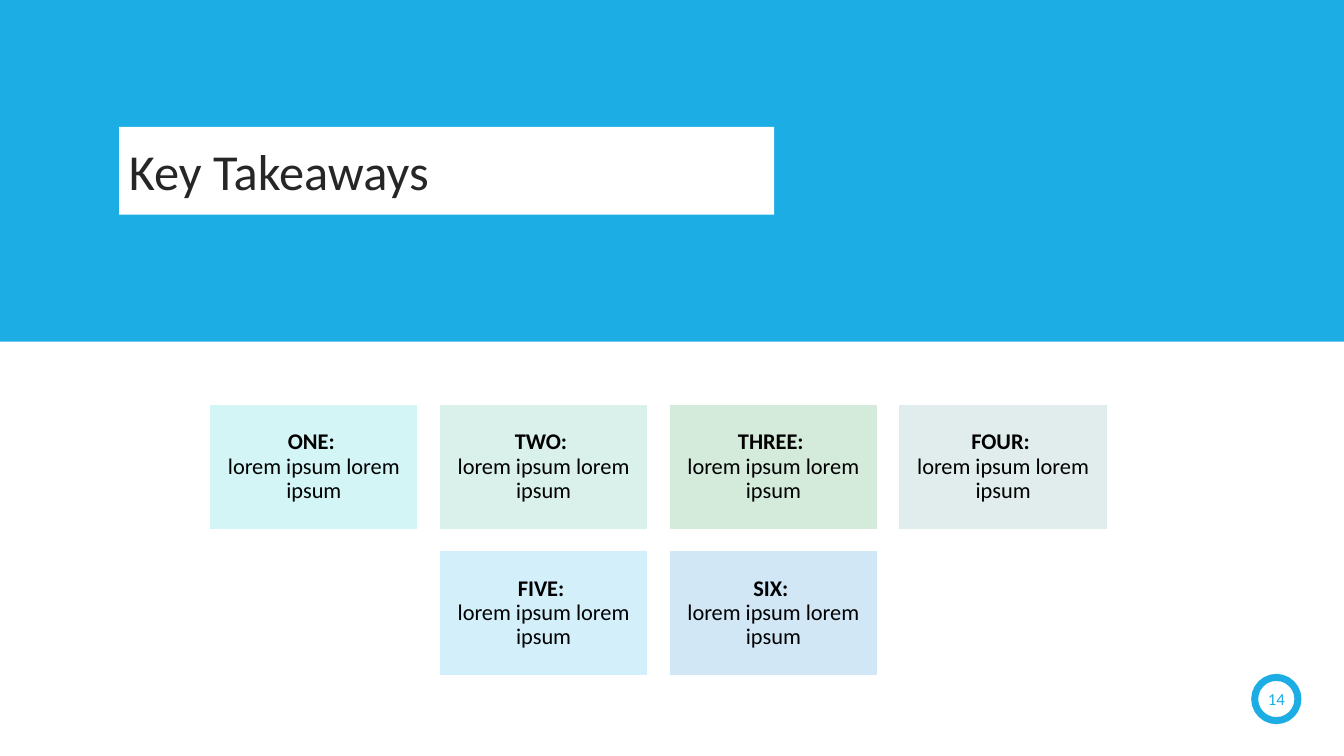
from dataclasses import dataclass

from pptx import Presentation
from pptx.dml.color import RGBColor
from pptx.enum.shapes import MSO_SHAPE as Shape
from pptx.enum.text import MSO_ANCHOR as Anchor, PP_ALIGN as Align
from pptx.util import Cm, Pt


@dataclass(frozen=True)
class Theme:
    font: str = "Calibri"
    accent: str = "1CADE4"
    white: str = "FFFFFF"
    heading: str = "262626"
    body: str = "000000"
    title_size: int = 36
    card_size: int = 16
    number_size: int = 12


class SlideBuilder:
    def __init__(self, slide, theme):
        self.slide = slide
        self.theme = theme

    def shape(self, kind, box, fill, line=None, line_width=1):
        sp = self.slide.shapes.add_shape(kind, *(Cm(v) for v in box))
        sp.shadow.inherit = False
        sp.fill.solid()
        sp.fill.fore_color.rgb = RGBColor.from_string(fill)
        if line:
            sp.line.color.rgb = RGBColor.from_string(line)
            sp.line.width = Pt(line_width)
        else:
            sp.line.fill.background()
        return sp

    def paragraph(self, sp, align, inset=None):
        tf = sp.text_frame
        tf.word_wrap = True
        tf.vertical_anchor = Anchor.MIDDLE
        if inset is not None:
            tf.margin_left = tf.margin_right = Cm(inset)
            tf.margin_top = tf.margin_bottom = Cm(inset)
        p = tf.paragraphs[0]
        p.alignment = align
        return p

    def run(self, p, text, size, color, bold=False):
        r = p.add_run()
        r.text = text
        r.font.name = self.theme.font
        r.font.size = Pt(size)
        r.font.bold = bold
        r.font.color.rgb = RGBColor.from_string(color)

    def title(self, text, box):
        sp = self.shape(Shape.RECTANGLE, box, self.theme.white)
        p = self.paragraph(sp, Align.LEFT)
        self.run(p, text, self.theme.title_size, self.theme.heading)

    def card(self, label, text, box, fill):
        t = self.theme
        sp = self.shape(Shape.RECTANGLE, box, fill, t.white)
        p = self.paragraph(sp, Align.CENTER, inset=0.18)
        p.line_spacing = 0.9
        self.run(p, f"{label}: ", t.card_size, t.body, bold=True)
        p.add_line_break()
        self.run(p, text, t.card_size, t.body)

    def page_number(self, text, box):
        t = self.theme
        sp = self.shape(Shape.OVAL, box, t.white, t.accent, 5)
        p = self.paragraph(sp, Align.CENTER, inset=0)
        self.run(p, text, t.number_size, t.accent)


CARD_ROWS = [
    [("ONE", "D3F5F6"), ("TWO", "D9F1EA"), ("THREE", "D4EBDB"), ("FOUR", "E0EDEC")],
    [("FIVE", "D2EFFA"), ("SIX", "D1E7F6")],
]
CARD_TEXT = "lorem ipsum lorem ipsum"
CARD_W, CARD_H = 5.26, 3.15
CARD_LEFT, CARD_TOP = 5.28, 10.19
STEP_X, STEP_Y = 5.79, 3.69


def main():
    prs = Presentation()
    prs.slide_width, prs.slide_height = Cm(33.87), Cm(19.05)
    theme = Theme()
    s = SlideBuilder(prs.slides.add_slide(prs.slide_layouts[6]), theme)

    # Header band and title
    s.shape(Shape.RECTANGLE, (0, 0, 33.87, 8.61), theme.accent)
    s.title("Key Takeaways", (3, 3.2, 16.51, 2.21))

    # Takeaway cards, each row centred under the widest one
    columns = max(len(row) for row in CARD_ROWS)
    for j, row in enumerate(CARD_ROWS):
        indent = (columns - len(row)) / 2
        for i, (label, fill) in enumerate(row):
            x = CARD_LEFT + (indent + i) * STEP_X
            y = CARD_TOP + j * STEP_Y
            s.card(label, CARD_TEXT, (x, y, CARD_W, CARD_H), fill)

    # Page number
    s.page_number("14", (31.62, 17.07, 1.09, 1.09))

    prs.save("out.pptx")


if __name__ == "__main__":
    main()
